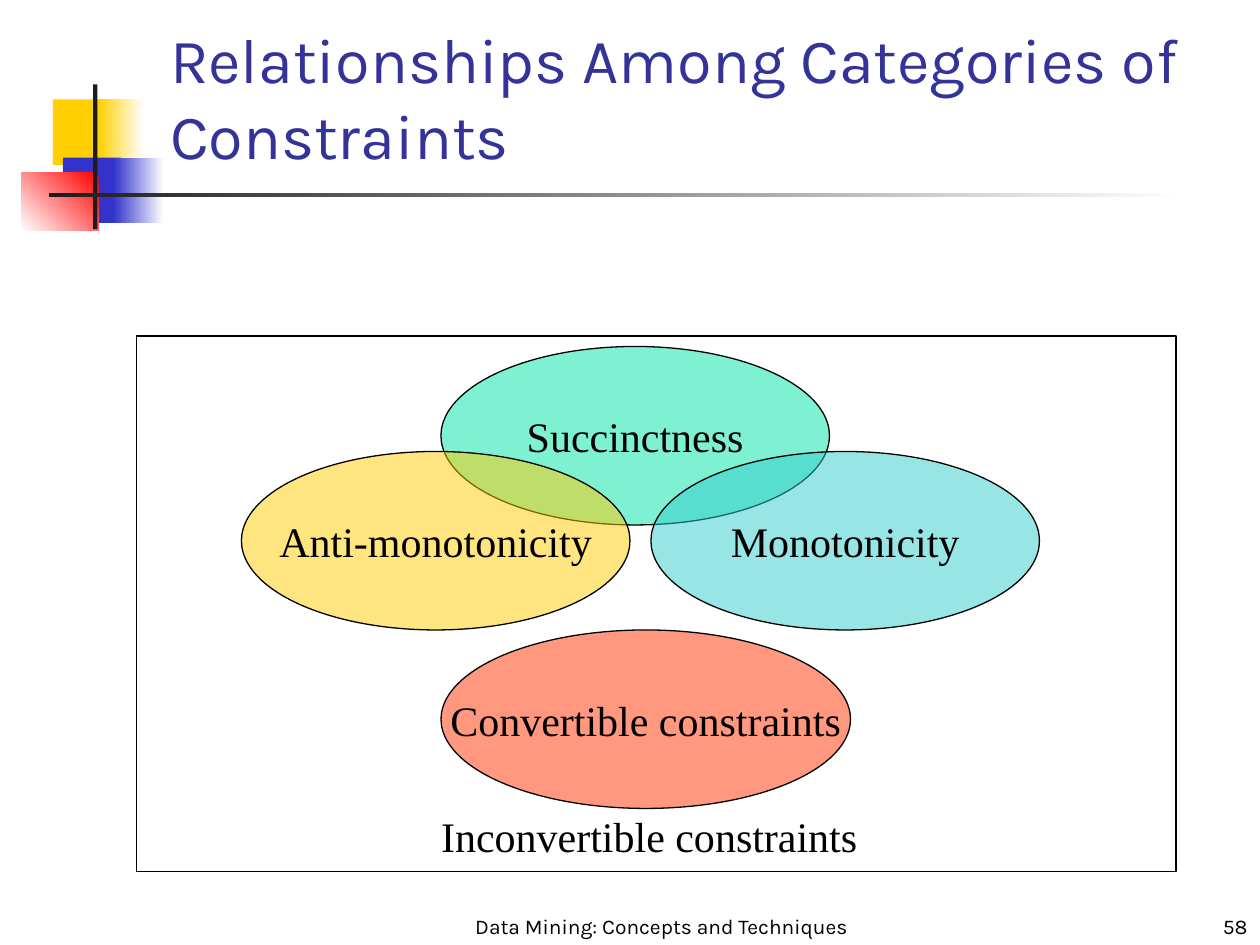
import pptx
import pptx.dml.color
import pptx.enum.shapes
import pptx.enum.text
import pptx.util
from pptx.oxml import parse_xml
from pptx.oxml.ns import nsdecls

Pt = pptx.util.Pt
SHAPES = pptx.enum.shapes.MSO_SHAPE
ALIGN = pptx.enum.text.PP_ALIGN
ANCHOR = pptx.enum.text.MSO_ANCHOR

COLORS = {
    "title": "333399", "text": "000000", "line": "000000", "white": "FFFFFF",
    "yellow": "FFCF01", "blue": "3333CC", "red": "FF0000", "dark": "1C1C1C",
    "succinct": "00E4A8", "anti": "FFCC00", "mono": "33CCCC", "convertible": "FF3300",
}
HEADING = {"name": "Karla", "size": Pt(36)}
SMALL = {"name": "Karla", "size": Pt(12)}
LABEL = {"name": "Times New Roman", "size": Pt(24)}


def rgb(name):
    return pptx.dml.color.RGBColor.from_string(COLORS[name])


def write(shape, text, font, color="text", align=ALIGN.LEFT, anchor=ANCHOR.BOTTOM, wrap=True):
    """Put one formatted paragraph in a shape."""
    frame = shape.text_frame
    settings = {
        "word_wrap": wrap, "vertical_anchor": anchor,
        "auto_size": pptx.enum.text.MSO_AUTO_SIZE.NONE,
        "margin_left": Pt(7.2), "margin_right": Pt(7.2),
        "margin_top": Pt(3.6), "margin_bottom": Pt(3.6),
    }
    for key, value in settings.items():
        setattr(frame, key, value)
    para = frame.paragraphs[0]
    para.alignment = align
    span = para.add_run()
    span.text = text
    for key, value in font.items():
        setattr(span.font, key, value)
    span.font.color.rgb = rgb(color)


def add_text(page, box, text, font, **layout):
    shape = page.shapes.add_textbox(*map(Pt, box))
    write(shape, text, font, **layout)


def add_block(page, kind, box, color=None, fade_to=None, angle=0, alpha=None, outlined=False):
    """Add a shape with a plain, faded, translucent or empty fill."""
    shape = page.shapes.add_shape(kind, *map(Pt, box))
    shape.shadow.inherit = False
    if color is None:
        shape.fill.background()
    elif fade_to:
        shape.fill.gradient()
        shape.fill.gradient_angle = angle
        for stop, name in zip(shape.fill.gradient_stops, (color, fade_to)):
            stop.color.rgb = rgb(name)
    else:
        shape.fill.solid()
        shape.fill.fore_color.rgb = rgb(color)
        if alpha:
            tone = shape.fill._xPr.solidFill[0]
            tone.append(parse_xml(f'<a:alpha {nsdecls("a")} val="{alpha * 1000}"/>'))
    if outlined:
        shape.line.color.rgb = rgb("line")
        shape.line.width = Pt(0.75)
    else:
        shape.line.fill.background()
    return shape


def add_ornament(page, box):
    """Coloured squares with crossing bars beside the title."""
    left, top, width, height = box
    parts = [
        # offset x, offset y, width, height, colour, fade, angle
        (18, 8.6, 34.6, 37.4, "yellow", None, 0),
        (43.9, 8.6, 25.9, 37.4, "yellow", "white", 0),
        (23.8, 41.8, 33.1, 37.4, "blue", None, 0),
        (52.6, 41.8, 28.8, 37.4, "blue", "white", 0),
        (0, 50.4, 43.9, 33.1, "red", "white", 225),
        (41.05, 0, 2.5, height, "dark", None, 0),
        (15.8, 61.9, width - 15.8, 2.5, "dark", "white", 0),
    ]
    for x, y, w, h, color, fade, angle in parts:
        add_block(page, SHAPES.RECTANGLE, (left + x, top + y, w, h), color, fade, angle)


def add_title(page, box, text):
    title = page.shapes.title
    for key, value in zip(("left", "top", "width", "height"), box):
        setattr(title, key, Pt(value))
    write(title, text, HEADING, color="title")


def add_diagram(page, box):
    """Overlapping constraint categories inside a frame."""
    left, top, width, height = box
    ellipses = [
        # offset x, offset y, width, colour, label
        (174, 6, 222, "succinct", "Succinctness"),
        (60, 66, 222, "anti", "Anti-monotonicity"),
        (294, 66, 222, "mono", "Monotonicity"),
        (174, 168, 234, "convertible", "Convertible constraints"),
    ]
    for x, y, w, color, label in ellipses:
        ellipse = add_block(page, SHAPES.OVAL, (left + x, top + y, w, 102), color,
                            alpha=50, outlined=True)
        write(ellipse, label, LABEL, align=ALIGN.CENTER, anchor=ANCHOR.MIDDLE, wrap=False)
    add_text(page, (left + 167, top + 267.5, 252, 36), "Inconvertible constraints", LABEL,
             anchor=ANCHOR.TOP, wrap=False)
    add_block(page, SHAPES.RECTANGLE, box, outlined=True)


def add_footer(page, box):
    left, top, width, height = box
    add_text(page, (left, top, 228, height), "Data Mining: Concepts and Techniques", SMALL,
             align=ALIGN.CENTER)
    add_text(page, (left + width - 150, top, 150, height), "58", SMALL, align=ALIGN.RIGHT)


def main():
    deck = pptx.Presentation()
    deck.slide_width, deck.slide_height = Pt(720), Pt(540)
    page = deck.slides.add_slide(deck.slide_layouts[5])
    add_ornament(page, (12.2, 48.2, 663.9, 82.8))
    add_footer(page, (264, 510, 456, 30))
    add_title(page, (90, 54, 613.5, 48), "Relationships Among Categories of Constraints")
    add_diagram(page, (78, 192, 594, 306))
    deck.save("out.pptx")


if __name__ == "__main__":
    main()
